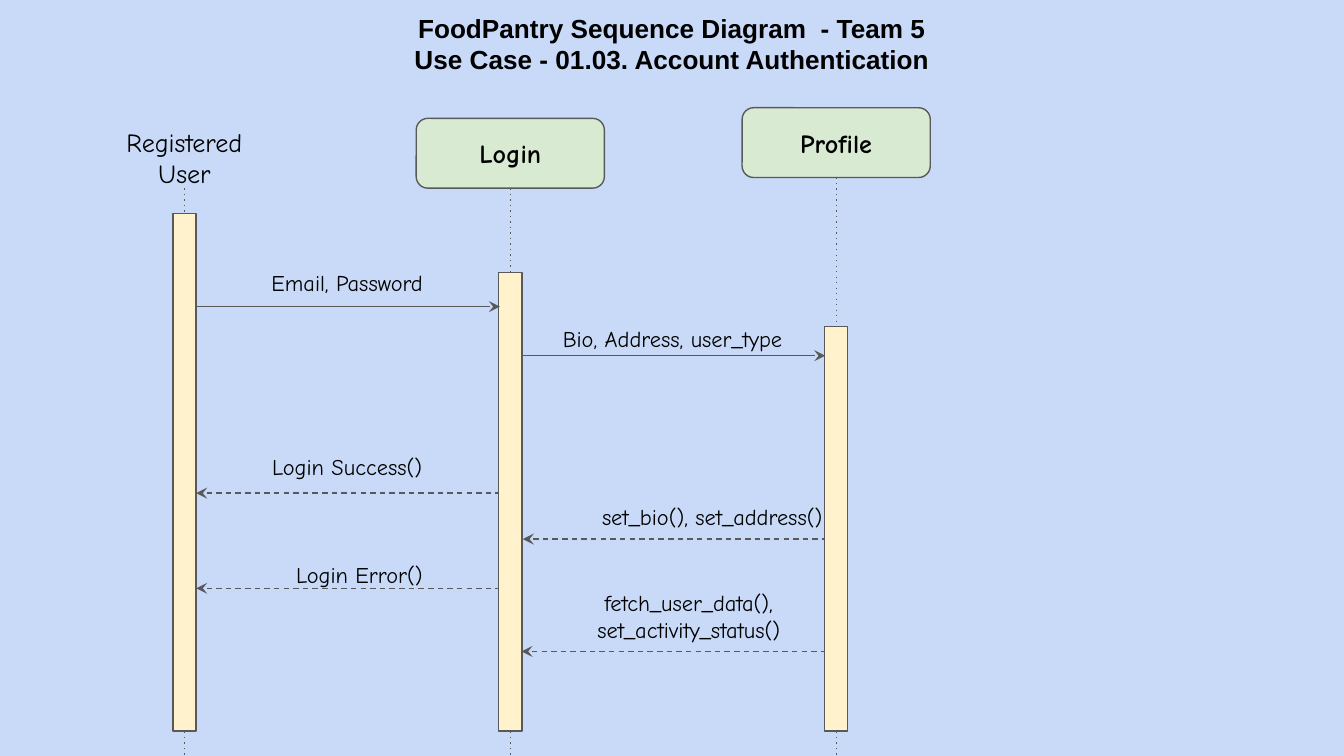
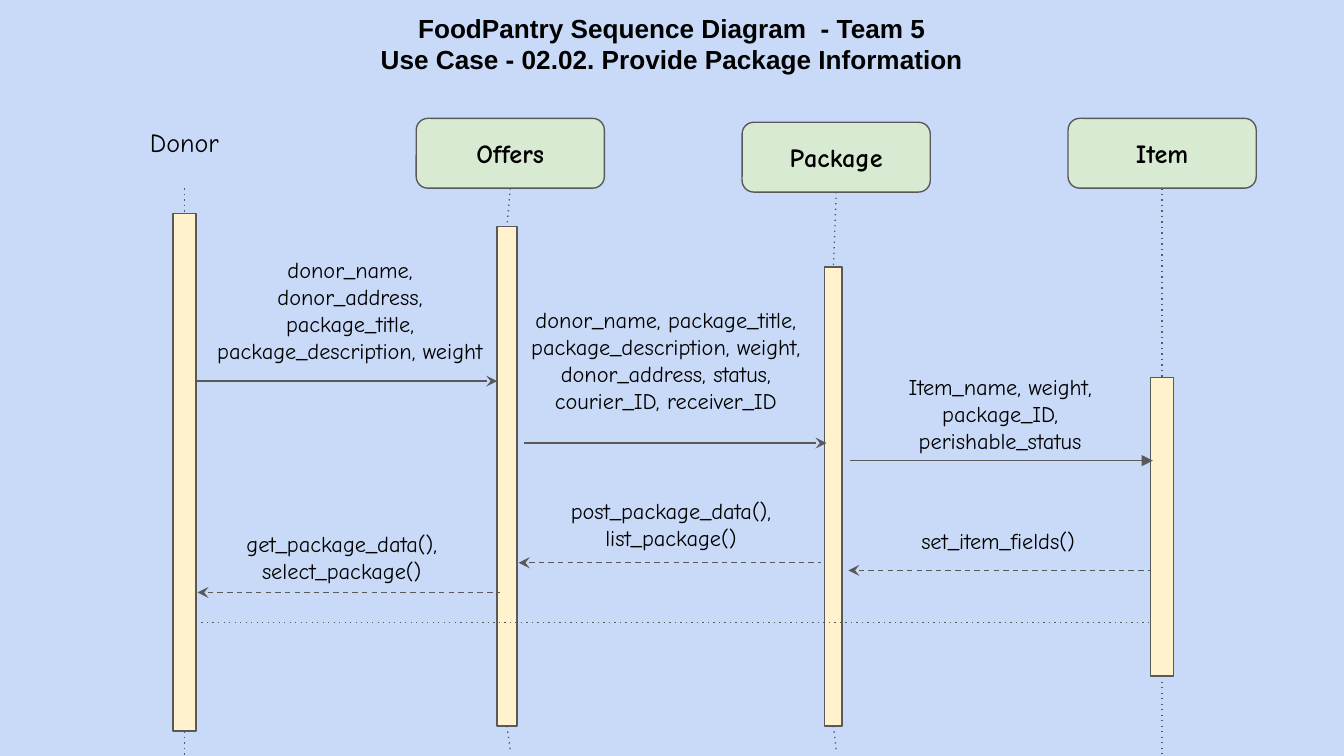
from collections import namedtuple

from lxml.etree import SubElement
from pptx import Presentation
from pptx.dml.color import RGBColor
from pptx.enum.shapes import MSO_CONNECTOR as Connector, MSO_SHAPE as Preset
from pptx.enum.text import MSO_ANCHOR as Anchor, PP_ALIGN as Align
from pptx.oxml.ns import qn
from pptx.util import Pt

Box = namedtuple("Box", "left top width height")
Lane = namedtuple("Lane", "name head_top bar_top bar_bottom bar_shift bar_width line_end",
                  defaults=(391.7, 0, 12.4, 405))
Message = namedtuple("Message", "lane start y shift rise height text reply align tip",
                     defaults=(False, Align.CENTER, "stealth"))

WIDTH, HEIGHT = 720, 405
BACKGROUND, INK, LINE = "C9DAF8", "000000", "595959"
HEAD_FILL, BAR_FILL = "D9EAD3", "FFF2CC"
HEADING_FONT, DIAGRAM_FONT = "Arial", "Comic Neue"
FIRST_LANE, LANE_STEP = 98.8, 174.6
HEAD_WIDTH, HEAD_HEIGHT = 100.8, 37.4
ACTOR_LINE_TOP = 100.8
MESSAGE_LENGTH, LABEL_WIDTH = 162, 160.5

TITLE_BOX = Box(0, -0.7, WIDTH, 44)
TITLE = "FoodPantry Sequence Diagram  - Team 5"
TITLE_TEXT = {"size": Pt(14), "name": HEADING_FONT, "bold": True}
HEAD_TEXT = {"size": Pt(14), "name": DIAGRAM_FONT, "bold": True}
ACTOR_TEXT = {"size": Pt(14), "name": DIAGRAM_FONT}
LABEL_TEXT = {"size": Pt(12), "name": DIAGRAM_FONT}

DIAGRAMS = [
    (
        "Use Case - 01.03. Account Authentication",
        [
            Lane("Registered User", 60.5, 114.5),
            Lane("Login", 63.4, 146.1),
            Lane("Profile", 57.7, 175),
        ],
        [
            Message(0, 7, 164.3, 0, 25.9, 25.9, "Email, Password"),
            Message(1, 6.7, 190.6, 0, 20.9, 23.8, "Bio, Address, user_type"),
            Message(1, 6.7, 288.8, 7.2, 26.6, 28.8, "set_bio(), set_address()", True, Align.RIGHT),
            Message(0, 6.3, 315.2, 7.2, 19.4, 24.5, "Login Error()", True),
            Message(0, 6.3, 264.2, 0.7, 26.6, 24.5, "Login Success()", True),
            Message(1, 6, 349, 9.4, 31, 23.8, "fetch_user_data(), set_activity_status()", True),
        ],
        None,
    ),
    (
        "Use Case - 02.02. Provide Package Information",
        [
            Lane("Donor", 60.5, 114.5),
            Lane("Offers", 63.4, 121.2, 388.9, -1.8, 10.8, 402),
            Lane("Package", 65.5, 143, 388.9, -1.5, 9.4, 402),
            Lane("Item", 63.4, 202.4, 362.2),
        ],
        [
            Message(0, 5.6, 204.2, 2.9, 59, 41.8,
                    "donor_name, donor_address, package_title, package_description, weight"),
            Message(1, 7.4, 237.4, -4.3, 71.3, 53.3,
                    "donor_name, package_title, package_description, weight, "
                    "donor_address, status, courier_ID, receiver_ID"),
            Message(2, 7.6, 246.8, 0, 39.6, 28.8, "Item_name, weight, package_ID, perishable_status",
                    tip="triangle"),
            Message(2, 6.5, 305.6, 0, 28.4, 25.2, "set_item_fields()", True),
            Message(1, 4.5, 301.5, 1.4, 37.4, 33.1, "post_package_data(), list_package()", True),
            Message(0, 7, 317.4, -2.9, 31, 23.8, "get_package_data(), select_package()", True),
        ],
        333.4,
    ),
]


def color(value):
    return RGBColor.from_string(value)


def lane_center(index):
    return FIRST_LANE + index * LANE_STEP


def write(shape, lines, text_format, anchor=Anchor.MIDDLE, align=Align.CENTER):
    frame = shape.text_frame
    frame_format = {"word_wrap": True, "vertical_anchor": anchor}
    for side in ("left", "top", "right", "bottom"):
        frame_format[f"margin_{side}"] = Pt(7.2)
    for name, value in frame_format.items():
        setattr(frame, name, value)
    for index, line in enumerate(lines):
        paragraph = frame.add_paragraph() if index else frame.paragraphs[0]
        paragraph.alignment = align
        run = paragraph.add_run()
        run.text = line
        for name, value in text_format.items():
            setattr(run.font, name, value)
        run.font.color.rgb = color(INK)


def add_text(slide, box, lines, text_format, **layout):
    shape = slide.shapes.add_textbox(*map(Pt, box))
    write(shape, lines, text_format, **layout)


def add_block(slide, preset, box, fill):
    shape = slide.shapes.add_shape(preset, *map(Pt, box))
    shape.shadow.inherit = False
    shape.fill.solid()
    shape.fill.fore_color.rgb = color(fill)
    shape.line.color.rgb = color(LINE)
    shape.line.width = Pt(0.75)
    return shape


def add_line(slide, start, end, dash="solid", head=None, tail=None):
    connector = slide.shapes.add_connector(Connector.STRAIGHT, *map(Pt, (*start, *end)))
    connector.line.color.rgb = color(LINE)
    connector.line.width = Pt(0.75)
    properties = connector.element.spPr
    outline = properties.find(qn("a:ln"))
    SubElement(outline, qn("a:prstDash"), val=dash)
    for tag, tip in (("a:headEnd", head), ("a:tailEnd", tail)):
        if tip:
            SubElement(outline, qn(tag), type=tip)
    SubElement(properties, qn("a:effectLst"))
    return connector


def draw_title(slide, box, use_case):
    add_text(slide, box, [TITLE, use_case], TITLE_TEXT, anchor=Anchor.TOP)


def draw_lane(slide, box, lane, is_actor):
    center = box.left + box.width / 2
    bar_box = Box(center + lane.bar_shift - lane.bar_width / 2, lane.bar_top,
                  lane.bar_width, lane.bar_bottom - lane.bar_top)
    bar = add_block(slide, Preset.RECTANGLE, bar_box, BAR_FILL)
    upper = add_line(slide, (center, ACTOR_LINE_TOP), (center, lane.bar_top), "dot")
    upper.end_connect(bar, 0)
    lower = add_line(slide, (center, lane.bar_bottom), (center, lane.line_end), "dot")
    lower.begin_connect(bar, 2)
    if is_actor:
        add_text(slide, Box(center - 44.6, box.top, 89.2, 23.8), [lane.name],
                 ACTOR_TEXT, anchor=Anchor.TOP)
    else:
        head = add_block(slide, Preset.ROUNDED_RECTANGLE,
                         Box(box.left, box.top, box.width, HEAD_HEIGHT), HEAD_FILL)
        write(head, [lane.name], HEAD_TEXT)
        upper.begin_connect(head, 2)


def draw_message(slide, box, message):
    arrow_y = box.top + message.rise
    ends = {"dash": "dash", "head": message.tip} if message.reply else {"tail": message.tip}
    add_line(slide, (box.left, arrow_y), (box.left + box.width, arrow_y), **ends)
    label_box = Box(box.left + message.shift, box.top, LABEL_WIDTH, box.height)
    add_text(slide, label_box, [message.text], LABEL_TEXT, align=message.align)


def draw_diagram(presentation, use_case, lanes, messages, closing_y):
    slide = presentation.slides.add_slide(presentation.slide_layouts[6])
    slide.background.fill.solid()
    slide.background.fill.fore_color.rgb = color(BACKGROUND)
    draw_title(slide, TITLE_BOX, use_case)
    for index, lane in enumerate(lanes):
        lane_box = Box(lane_center(index) - HEAD_WIDTH / 2, lane.head_top,
                       HEAD_WIDTH, HEIGHT - lane.head_top)
        draw_lane(slide, lane_box, lane, index == 0)
    for message in messages:
        message_box = Box(lane_center(message.lane) + message.start, message.y - message.rise,
                          MESSAGE_LENGTH, message.height)
        draw_message(slide, message_box, message)
    if closing_y:
        add_line(slide, (lane_center(0) + 6.2, closing_y),
                 (lane_center(len(lanes) - 1) - 6.2, closing_y), "dot")


def main():
    presentation = Presentation()
    presentation.slide_width = Pt(WIDTH)
    presentation.slide_height = Pt(HEIGHT)
    for diagram in DIAGRAMS:
        draw_diagram(presentation, *diagram)
    presentation.save("out.pptx")


if __name__ == "__main__":
    main()
